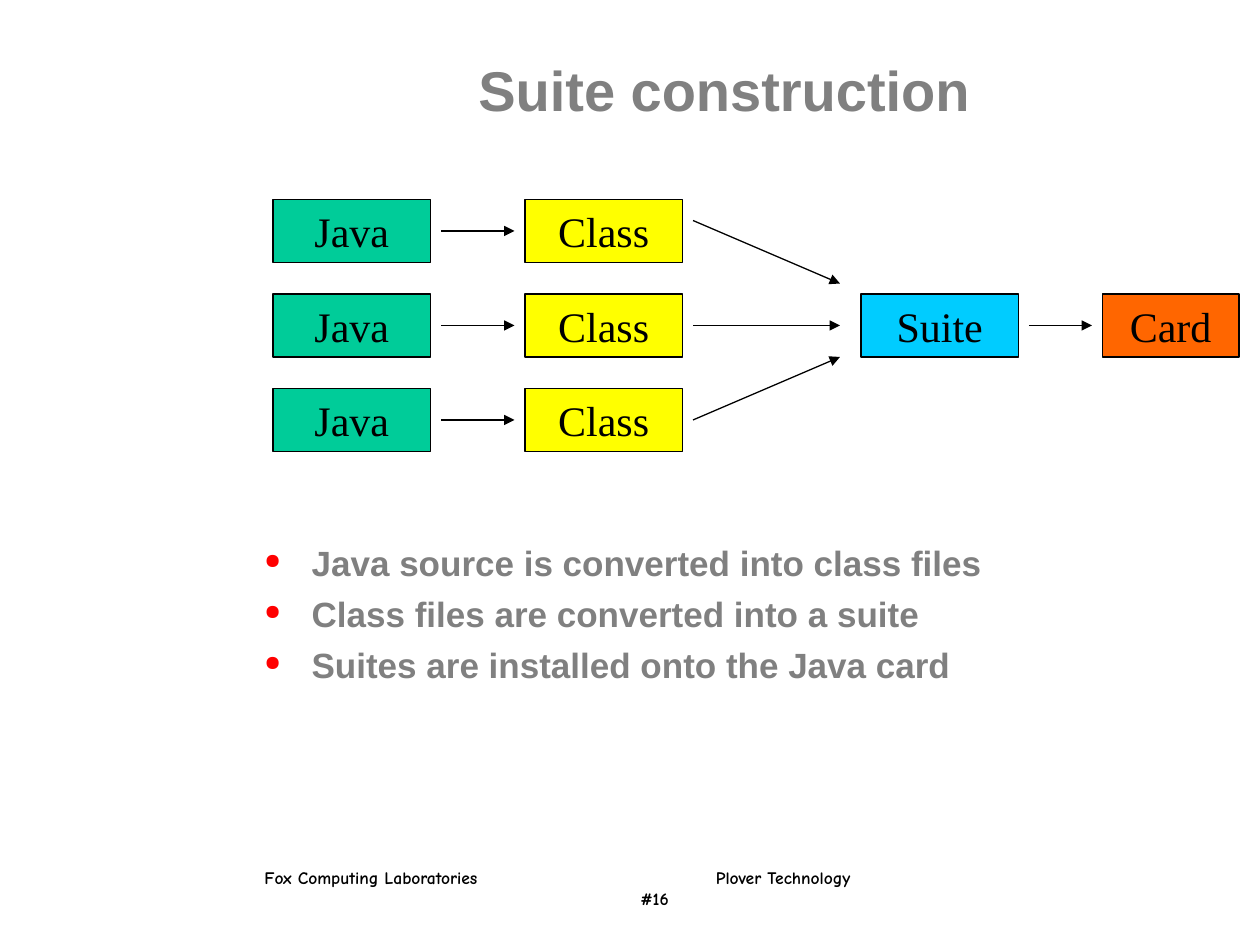
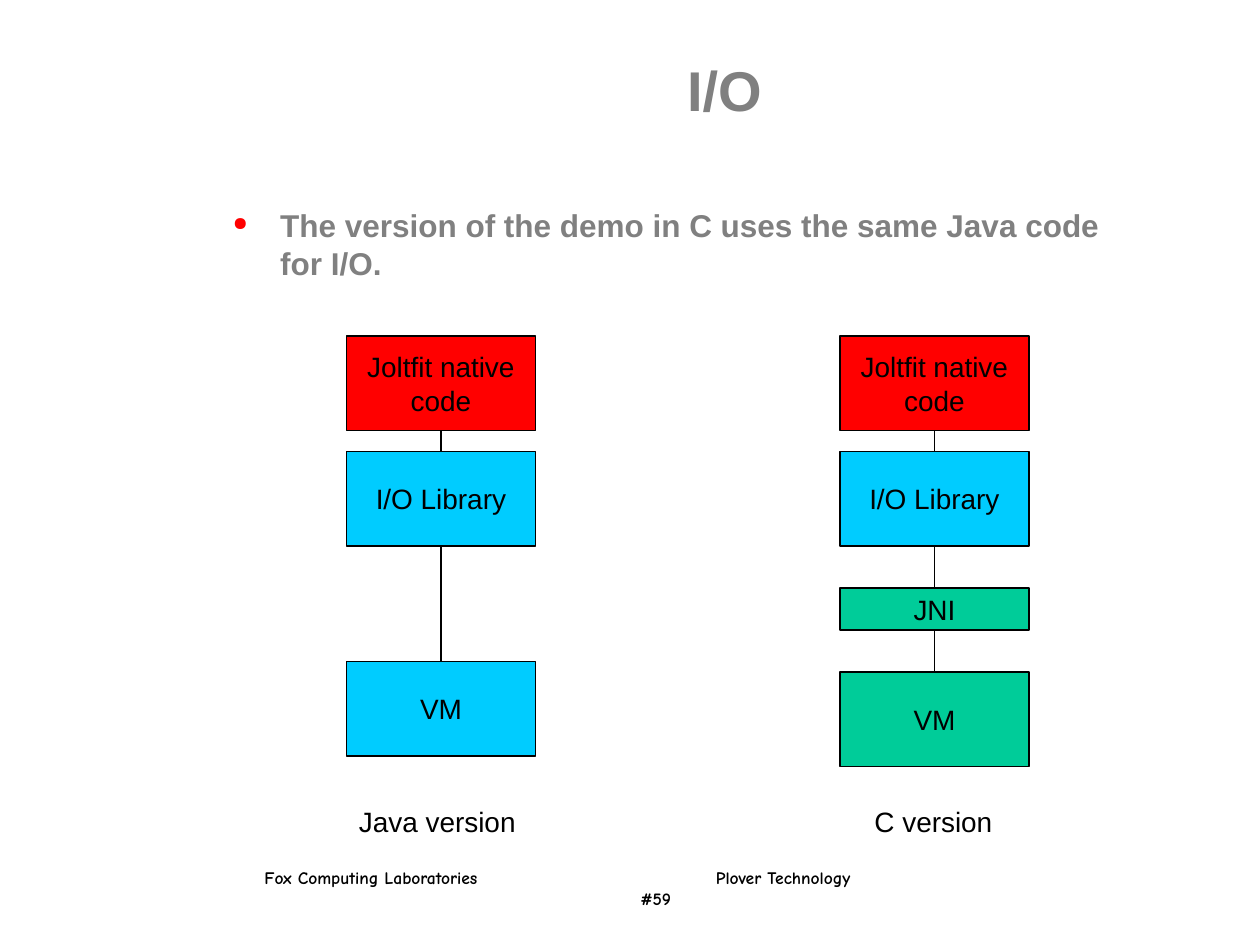
from dataclasses import dataclass
from itertools import pairwise

from lxml.etree import SubElement
from pptx import Presentation
from pptx.dml.color import RGBColor as Rgb
from pptx.enum.shapes import MSO_CONNECTOR as Conn, MSO_SHAPE as Kind
from pptx.enum.text import MSO_ANCHOR as Anchor, PP_ALIGN as Align
from pptx.oxml.ns import qn
from pptx.util import Pt

SCALE = 7620


@dataclass(frozen=True)
class Theme:
    ink: str = "000000"
    gray: str = "808080"
    red: str = "FF0000"
    green: str = "00CC99"
    blue: str = "00CCFF"
    yellow: str = "FFFF00"
    orange: str = "FF6600"
    sans: str = "Arial"
    serif: str = "Times New Roman"
    comic: str = "Comic Neue"
    head: int = 32
    flow: int = 24
    list: int = 20
    point: int = 18
    label: int = 16
    foot: int = 10
    stroke: float = 0.75


T = Theme()
HEAD = dict(name=T.sans, size=Pt(T.head), bold=True)
LIST = dict(name=T.sans, size=Pt(T.list), bold=True)
POINT = dict(name=T.sans, size=Pt(T.point), bold=True)
FLOW = dict(name=T.serif, size=Pt(T.flow), bold=False)
LABEL = dict(name=T.sans, size=Pt(T.label), bold=False)
FOOT = dict(name=T.comic, size=Pt(T.foot), bold=True)


def px(*nums):
    return [n * SCALE for n in nums]


def write(shape, lines, look, color, align, wrap=True, anchor=Anchor.TOP):
    frame = shape.text_frame
    frame.word_wrap = wrap
    frame.vertical_anchor = anchor
    frame.text = "\n".join(lines)
    for para in frame.paragraphs:
        para.alignment = align
        for run in para.runs:
            for key, value in look.items():
                setattr(run.font, key, value)
            run.font.color.rgb = Rgb.from_string(color)
    return frame.paragraphs


def note(slide, box, lines, look, color=T.ink, align=Align.LEFT, **more):
    shape = slide.shapes.add_textbox(*px(*box))
    return write(shape, lines, look, color, align, **more)


def block(slide, box, text, fill, look):
    shape = slide.shapes.add_shape(Kind.RECTANGLE, *px(*box))
    shape.shadow.inherit = False
    shape.fill.solid()
    shape.fill.fore_color.rgb = Rgb.from_string(fill)
    shape.line.color.rgb = Rgb.from_string(T.ink)
    shape.line.width = Pt(T.stroke)
    write(shape, text.split("\n"), look, T.ink, Align.CENTER, False, Anchor.MIDDLE)
    return shape


def link(slide, ends=(0, 0, 0, 0), tip=False):
    line = slide.shapes.add_connector(Conn.STRAIGHT, *px(*ends))
    line.line.color.rgb = Rgb.from_string(T.ink)
    line.line.width = Pt(T.stroke)
    props = line.element.spPr
    if tip:
        SubElement(props.find(qn("a:ln")), qn("a:tailEnd"), type="triangle")
    SubElement(props, qn("a:effectLst"))
    return line


def title(slide, box, text):
    note(slide, box, [text], HEAD, T.gray, Align.CENTER, anchor=Anchor.MIDDLE)


def footer(slide, box, page):
    lines = ["Fox Computing Laboratories\tPlover Technology", f"\t#{page}"]
    for para, stop in zip(note(slide, box, lines, FOOT), (430, 358)):
        tabs = SubElement(para._p.get_or_add_pPr(), qn("a:tabLst"))
        SubElement(tabs, qn("a:tab"), pos=str(stop * SCALE), algn="l")


def points(slide, box, lines, look):
    for para in note(slide, box, lines, look, T.gray):
        para.space_before = look["size"] // 4
        props = para._p.get_or_add_pPr()
        props.set("marL", str(45 * SCALE))
        props.set("indent", str(-45 * SCALE))
        color = SubElement(props, qn("a:buClr"))
        SubElement(color, qn("a:srgbClr"), val=T.red)
        SubElement(props, qn("a:buSzPct"), val="60000")
        SubElement(props, qn("a:buChar"), char="●")


def flow(slide, box):
    x, y, width, height = box
    wide, tall, gap, step = 150, 60, 10, 90
    mid = y + height // 2
    for row in range(3):
        top = y + row * step
        center = top + tall // 2
        block(slide, (x, top, wide, tall), "Java", T.green, FLOW)
        block(slide, (x + 240, top, wide, tall), "Class", T.yellow, FLOW)
        link(slide, (x + wide + gap, center, x + 240 - gap, center), True)
    for start, end in ((-100, -40), (0, 0), (90, 30)):
        link(slide, (x + 400, mid + start, x + 540, mid + end), True)
    block(slide, (x + 560, mid - tall // 2, wide, tall), "Suite", T.blue, FLOW)
    block(slide, (x + width - 130, mid - tall // 2, 130, tall), "Card", T.orange, FLOW)
    link(slide, (x + 560 + wide + gap, mid, x + width - 130 - gap, mid), True)


def stack(slide, box, parts, name, inset, span):
    x, y, width, height = box
    common = [("Joltfit native\ncode", T.red, 0, 90), ("I/O Library", T.blue, 110, 90)]
    blocks = [
        block(slide, (x, y + top, width, tall), text, fill, LABEL)
        for text, fill, top, tall in common + parts
    ]
    for upper, lower in pairwise(blocks):
        line = link(slide)
        line.begin_connect(upper, 2)
        line.end_connect(lower, 0)
    note(slide, (x + inset, y + height - 44, span, 44), [name], LABEL, wrap=False)


def page(deck, text, num):
    slide = deck.slides.add_slide(deck.slide_layouts[6])
    footer(slide, (240, 820, 755, 53), num)
    title(slide, (240, 50, 900, 70), text)
    return slide


def suite(deck):
    slide = page(deck, "Suite construction", 16)
    lines = [
        "Java source is converted into class files",
        "Class files are converted into a suite",
        "Suites are installed onto the Java card",
    ]
    points(slide, (240, 510, 900, 220), lines, LIST)
    flow(slide, (260, 190, 920, 240))


def ports(deck):
    slide = page(deck, "I/O", 59)
    line = "The version of the demo in C uses the same Java code for I/O."
    points(slide, (210, 190, 880, 100), [line], POINT)
    java = [("VM", T.blue, 310, 90)]
    native = [("JNI", T.green, 240, 40), ("VM", T.green, 320, 90)]
    stack(slide, (330, 320, 180, 484), java, "Java version", 0, 173)
    stack(slide, (800, 320, 180, 484), native, "C version", 21, 136)


def main():
    deck = Presentation()
    deck.slide_width, deck.slide_height = px(1200, 900)
    suite(deck)
    ports(deck)
    deck.save("out.pptx")


if __name__ == "__main__":
    main()
